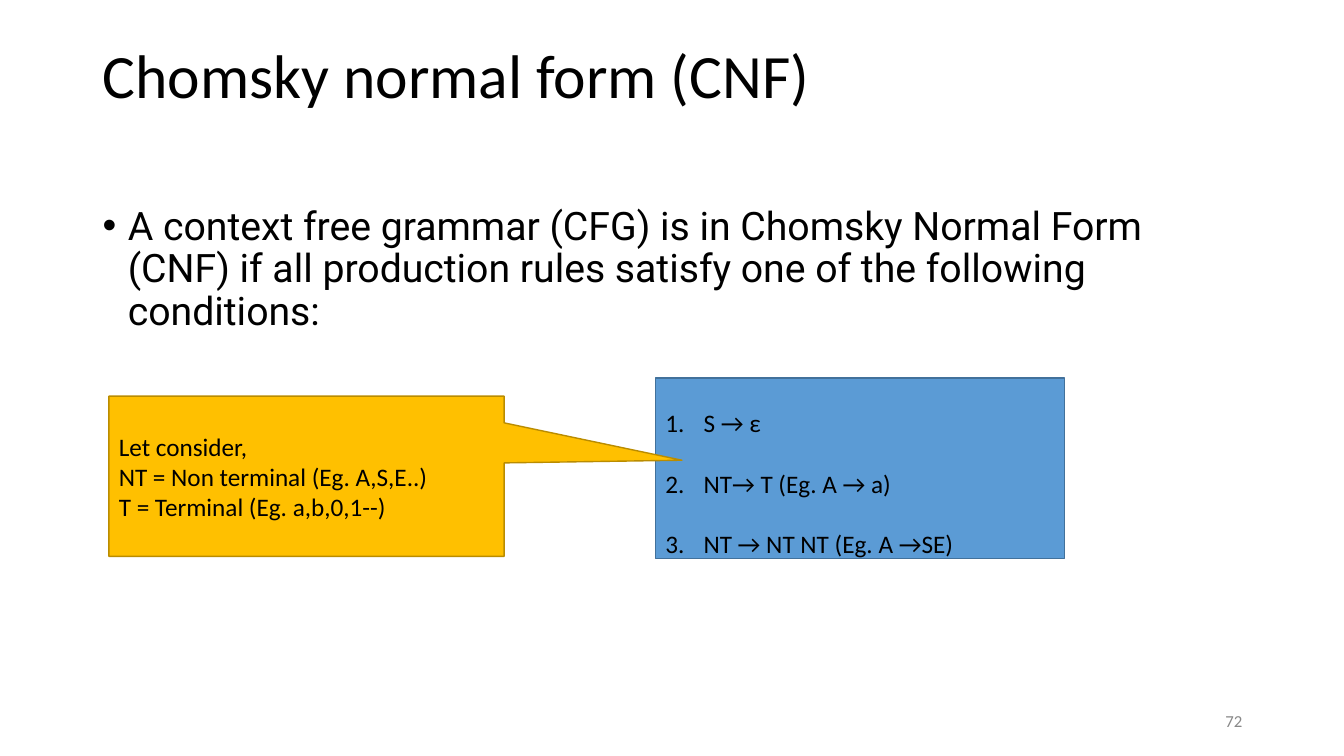
from lxml import etree
from pptx import Presentation, util as u
from pptx.dml.color import RGBColor
from pptx.enum import shapes, text
from pptx.oxml.ns import qn

BLACK = "000000"


def colour(value):
    return RGBColor.from_string(value)


def add_bullet(para, indent, tag, **attributes):
    """Give the paragraph a hanging indent and a black bullet or number."""
    properties = para._p.get_or_add_pPr()
    properties.set("marL", str(u.Inches(indent)))
    properties.set("indent", str(-u.Inches(indent)))
    bullet_colour = etree.SubElement(properties, qn("a:buClr"))
    etree.SubElement(bullet_colour, qn("a:srgbClr"), val=BLACK)
    etree.SubElement(properties, qn("a:buFont"), typeface="Arial")
    etree.SubElement(properties, qn(tag), **attributes)


def write(shape, lines, size, font="Calibri", ink=BLACK,
          anchor=text.MSO_ANCHOR.MIDDLE, **para_format):
    """Fill the shape with one paragraph per line and return the paragraphs."""
    frame = shape.text_frame
    frame.word_wrap = True
    frame.vertical_anchor = anchor
    frame.text = "\n".join(lines)
    para_format = {"alignment": text.PP_ALIGN.LEFT, **para_format}
    for para in frame.paragraphs:
        for name, value in para_format.items():
            setattr(para, name, value)
        for span in para.runs:
            for name, value in {"size": u.Pt(size), "name": font}.items():
                setattr(span.font, name, value)
            span.font.color.rgb = colour(ink)
    return frame.paragraphs


def add_text(page, place, lines, size, **text_format):
    box = page.shapes.add_textbox(*map(u.Inches, place))
    return write(box, lines, size, **text_format)


def add_panel(page, kind, place, fill, line):
    panel = page.shapes.add_shape(kind, *map(u.Inches, place))
    panel.shadow.inherit = False
    panel.fill.solid()
    panel.fill.fore_color.rgb = colour(fill)
    panel.line.color.rgb = colour(line)
    panel.line.width = u.Pt(1)
    return panel


def main():
    deck = Presentation()
    deck.slide_width, deck.slide_height = u.Inches(13.33), u.Inches(7.5)
    page = deck.slides.add_slide(deck.slide_layouts[6])
    top = text.MSO_ANCHOR.TOP

    add_text(page, (0.92, 0.4, 11.5, 1.45), ["Chomsky normal form (CNF)"], 44,
             anchor=top, line_spacing=0.9)

    definition = add_text(
        page, (0.92, 2, 11.5, 4.76),
        ["A context free grammar (CFG) is in Chomsky Normal Form (CNF) "
         "if all production rules satisfy one of the following conditions:"],
        28, font="Roboto", anchor=top, line_spacing=0.9)
    add_bullet(definition[0], 0.25, "a:buChar", char="•")

    rules = add_panel(page, shapes.MSO_SHAPE.RECTANGLE,
                      (6.5, 3.75, 4.06, 1.79), "5B9BD5", "42719B")
    conditions = ["S → ε", "NT→ T (Eg. A → a)", "NT → NT NT (Eg. A →SE)"]
    for para in write(rules, conditions, 18, line_spacing=2.0):
        add_bullet(para, 0.38, "a:buAutoNum", type="arabicPeriod")

    legend = add_panel(page, shapes.MSO_SHAPE.RECTANGULAR_CALLOUT,
                       (1.08, 3.93, 3.92, 1.59), "FFC000", "BA8C00")
    legend.adjustments[0], legend.adjustments[1] = 0.95, -0.1
    write(legend, ["Let consider,", "NT = Non terminal (Eg. A,S,E..)",
                   "T = Terminal (Eg. a,b,0,1--)"], 18)

    add_text(page, (9.42, 6.95, 3, 0.4), ["72"], 12, ink="888888",
             alignment=text.PP_ALIGN.RIGHT)
    deck.save("out.pptx")


if __name__ == "__main__":
    main()
